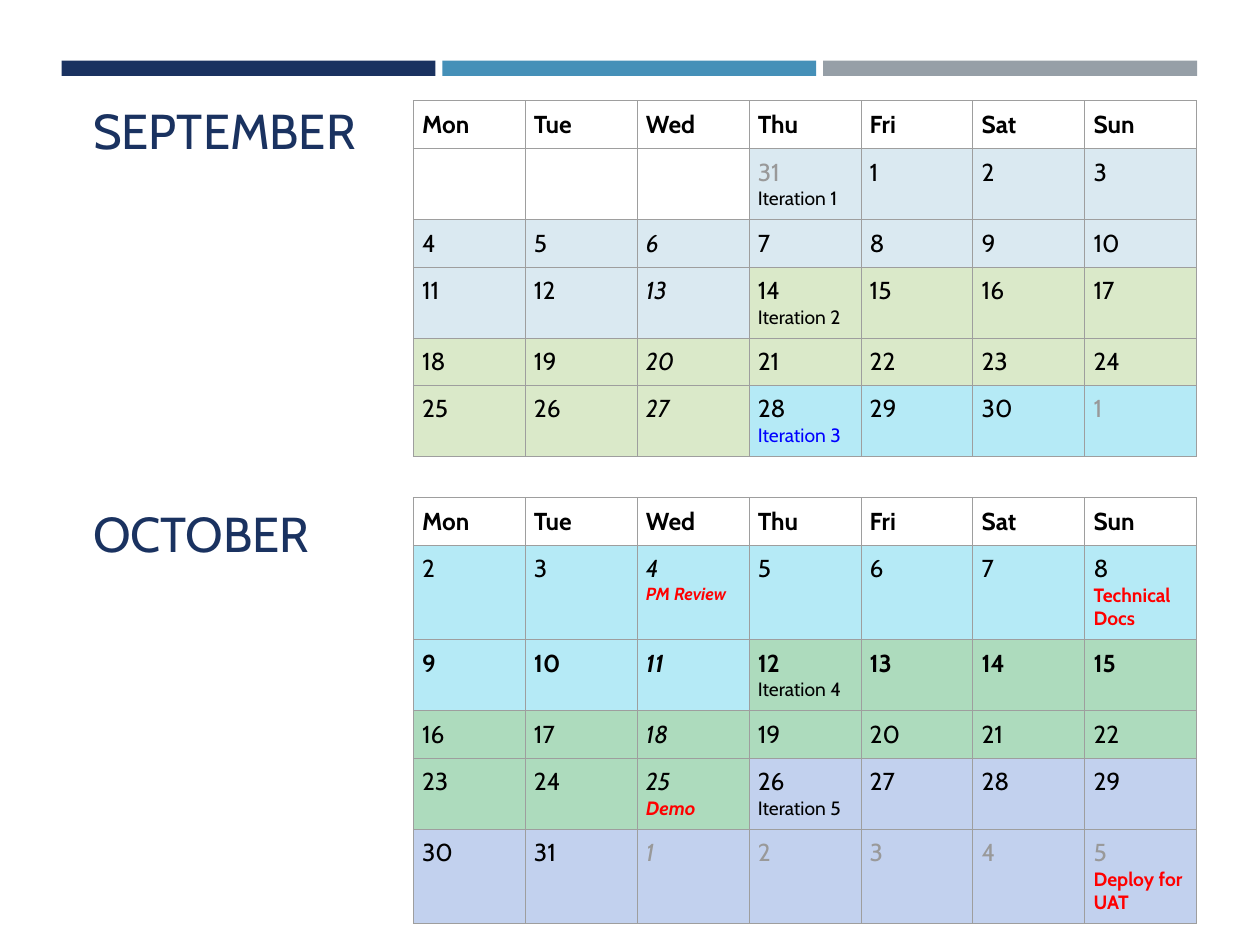
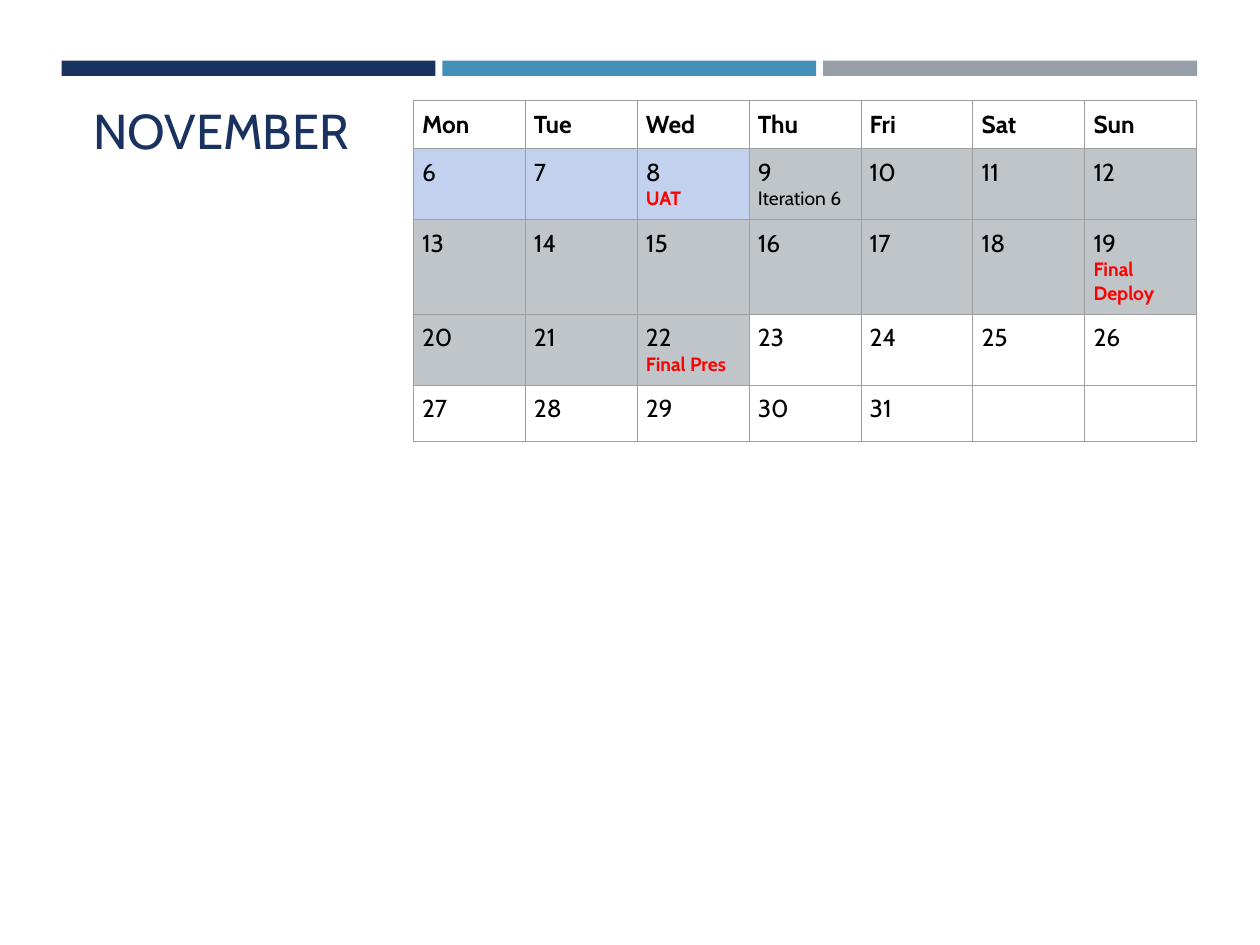
from lxml import etree
from pptx import Presentation
from pptx import util as u
from pptx.dml import color
from pptx.enum import shapes, text
from pptx.oxml import ns

COLUMNS, ROWS = 100, 75
WEEKDAYS = ["Mon", "Tue", "Wed", "Thu", "Fri", "Sat", "Sun"]
BAND_COLOURS = ["1A3260", "4590B8", "969FA7"]
ITERATION_FILLS = ["DAE9F1", "DAE9C9", "B5EAF6", "ADDBBD", "C2D1EE", "C0C5CA"]
FIRST_ITERATION_DAY, ITERATION_DAYS = 3, 14
NAVY, BLACK, MUTED, RED, BLUE = "1A3260", "000000", "999999", "FF0000", "0000FF"


def rgb(value):
    return color.RGBColor.from_string(value)


def numbers(first, last):
    return [str(n) for n in range(first, last + 1)]


MONTHS = {
    "SEPTEMBER": dict(
        days=[""] * 3 + ["31"] + numbers(1, 30) + ["1"], first_week=0,
        heights=[3.8, 5.6, 3.75, 5.6, 3.75, 5.6],
        muted={3, 34}, milestones={}),
    "OCTOBER": dict(
        days=numbers(2, 31) + numbers(1, 5), first_week=5,
        heights=[3.75, 7.5, 5.6, 3.75, 5.6, 7.5],
        muted=set(range(30, 35)), bold_week=1,
        milestones={2: ("PM Review", 10), 6: ("Technical Docs", 11),
                    23: ("Demo", 11), 34: ("Deploy for UAT", 11)}),
    "NOVEMBER": dict(
        days=numbers(6, 31) + [""] * 2, first_week=10,
        heights=[3.8, 5.6, 7.5, 5.6, 4.45],
        muted=set(), italic_day=None,
        milestones={2: ("UAT", 11), 13: ("Final Deploy", 11),
                    16: ("Final Pres", 11)}),
}


class Deck:
    font = "Cabin"
    border = "9E9E9E"

    def __init__(self):
        self.prs = Presentation()
        self.prs.slide_width, self.prs.slide_height = u.Inches(10), u.Inches(7.5)
        self.s = None

    def x(self, columns):
        return int(self.prs.slide_width * columns / COLUMNS)

    def y(self, rows):
        return int(self.prs.slide_height * rows / ROWS)

    def box(self, left, top, width, height):
        return self.x(left), self.y(top), self.x(width), self.y(height)

    def style(self, p, size, colour=BLACK, bold=False, italic=False):
        for r in p.runs:
            r.font.name, r.font.size = self.font, u.Pt(size)
            r.font.bold, r.font.italic = bold, italic
            r.font.color.rgb = rgb(colour)

    def add_slide(self, month):
        self.s = self.prs.slides.add_slide(self.prs.slide_layouts[5])
        self.bands()
        self.heading(month, 7.5, self.s.shapes.title)

    def bands(self):
        width, gap = 29.67, 0.55
        for i, colour in enumerate(BAND_COLOURS):
            sp = self.s.shapes.add_shape(
                shapes.MSO_SHAPE.RECTANGLE,
                *self.box(4.9 + i * (width + gap), 4.82, width, 1.2))
            sp.shadow.inherit = False
            sp.fill.solid()
            sp.fill.fore_color.rgb = rgb(colour)
            sp.line.fill.background()

    def heading(self, month, top, sp=None):
        place = self.box(6.4, top, 24.9, 11.8)
        sp = sp or self.s.shapes.add_textbox(*place)
        sp.left, sp.top, sp.width, sp.height = place
        tf = sp.text_frame
        tf.text = month
        tf.word_wrap = True
        tf.auto_size = text.MSO_AUTO_SIZE.NONE
        tf.vertical_anchor = text.MSO_ANCHOR.TOP
        p = tf.paragraphs[0]
        p.alignment = text.PP_ALIGN.LEFT
        self.style(p, 28, NAVY)

    def cell(self, cell, lines, fill=None):
        cell.margin_left = cell.margin_right = self.x(0.7)
        cell.margin_top = cell.margin_bottom = self.y(0.7)
        tc_pr = cell._tc.get_or_add_tcPr()
        for side in "LRTB":
            ln = etree.SubElement(tc_pr, ns.qn(f"a:ln{side}"), w=str(u.Pt(0.5)))
            solid = etree.SubElement(ln, ns.qn("a:solidFill"))
            etree.SubElement(solid, ns.qn("a:srgbClr"), val=self.border)
        if fill:
            cell.fill.solid()
            cell.fill.fore_color.rgb = rgb(fill)
        else:
            cell.fill.background()
        cell.text = "\n".join(line for line, _ in lines)
        for p, (_, look) in zip(cell.text_frame.paragraphs, lines):
            self.style(p, **look)

    def calendar(self, top, days, first_week, heights, muted, milestones,
                 bold_week=None, italic_day=2):
        table = self.s.shapes.add_table(
            len(heights), 7, *self.box(32.8, top, 62.2, sum(heights))).table
        table.first_row = table.horz_banding = False
        for row, height in zip(table.rows, heights):
            row.height = self.y(height)
        for column, weekday in enumerate(WEEKDAYS):
            table.columns[column].width = self.x(62.2 / 7)
            self.cell(table.cell(0, column), [(weekday, dict(size=14, bold=True))])
        for i, day in enumerate(days):
            week, weekday = divmod(i, 7)
            italic = weekday == italic_day
            lines = [(day, dict(size=14, colour=MUTED if i in muted else BLACK,
                                bold=week == bold_week, italic=italic))]
            iteration, elapsed = divmod(
                first_week * 7 + i - FIRST_ITERATION_DAY, ITERATION_DAYS)
            active = 0 <= iteration < len(ITERATION_FILLS)
            if active and elapsed == 0:
                lines.append((f"Iteration {iteration + 1}", dict(
                    size=11, colour=BLUE if iteration == 2 else BLACK)))
            if i in milestones:
                name, size = milestones[i]
                lines.append((name, dict(size=size, colour=RED, bold=True,
                                         italic=italic)))
            self.cell(table.cell(week + 1, weekday), lines,
                      ITERATION_FILLS[iteration] if active else None)


def main():
    deck = Deck()
    deck.add_slide("SEPTEMBER")
    deck.calendar(8, **MONTHS["SEPTEMBER"])
    deck.heading("OCTOBER", 39.5)
    deck.calendar(39.5, **MONTHS["OCTOBER"])
    deck.add_slide("NOVEMBER")
    deck.calendar(8, **MONTHS["NOVEMBER"])
    deck.prs.save("out.pptx")


if __name__ == "__main__":
    main()
